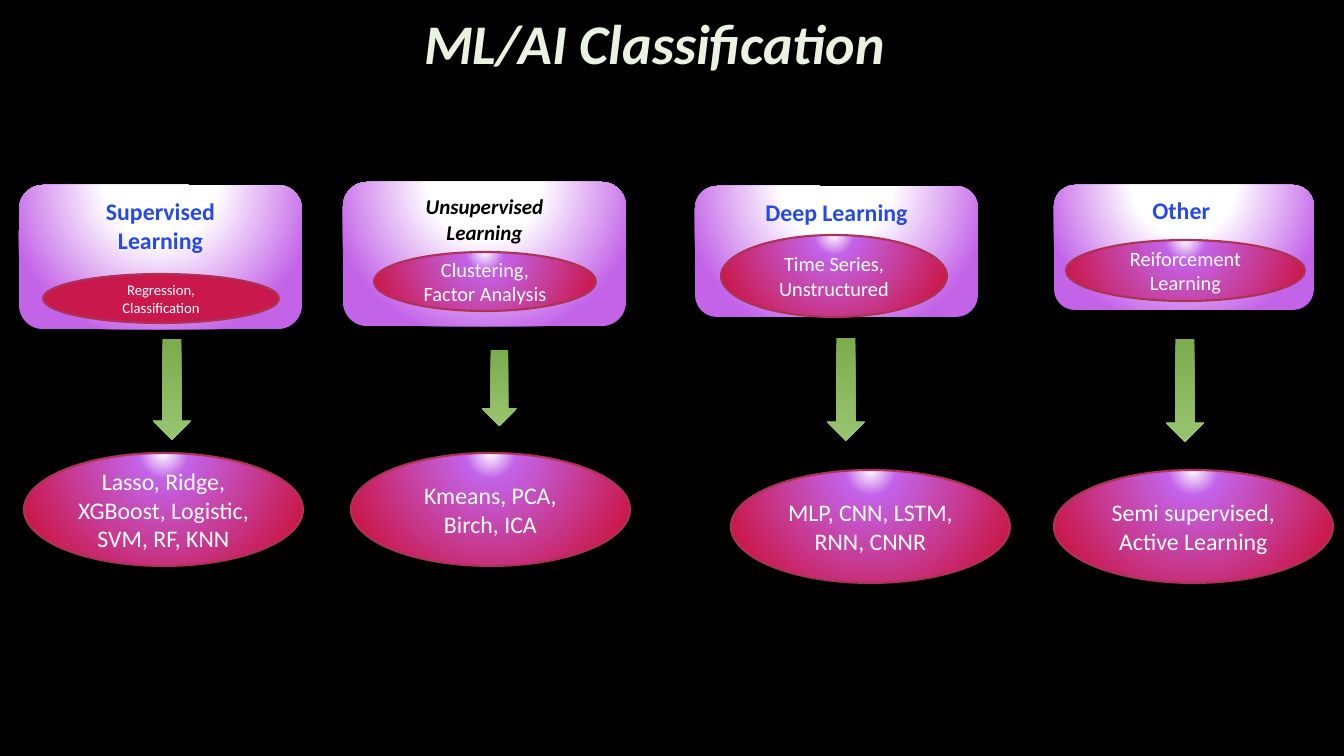
import pptx
import pptx.dml.color
import pptx.enum.shapes
import pptx.enum.text
import pptx.oxml.ns
import pptx.util
from lxml import etree

# Content: boxes are (left, top, width, height) in px
TITLE = ("ML/AI Classification", (231, 4, 847, 78))
BLUE, BLACK, WHITE = "264AEA", "000000", "FFFFFF"
CRIMSON, RIM = "C9194C", "AC3356"
CARD_GRADIENT = [(0, WHITE), (35, WHITE), (100, "C363E8")]
OVAL_GRADIENT = [(0, WHITE), (17, "C363E8"), (100, CRIMSON)]
ARROW_GRADIENT = [(0, "7CAC4E"), (100, "98C46F")]
METHOD_SIZE = (279, 113)

BRANCHES = [
    {"name": "Supervised\nLearning", "card": (19, 185, 283, 144),
     "name_font": {"size": 17, "color": BLUE},
     "tasks": "Regression, Classification", "tasks_box": (43, 274, 236, 49),
     "tasks_size": 10.5, "tasks_gradient": None,
     "arrow": (153, 339, 38, 101),
     "methods": "Lasso, Ridge, XGBoost, Logistic, SVM, RF, KNN", "methods_at": (24, 453)},
    {"name": "Unsupervised\nLearning", "card": (343, 182, 283, 144),
     "name_font": {"size": 15, "color": BLACK, "italic": True},
     "tasks": "Clustering, Factor Analysis", "tasks_box": (374, 252, 222, 59),
     "tasks_size": 14.5, "tasks_gradient": OVAL_GRADIENT,
     "arrow": (482, 350, 35, 76),
     "methods": "Kmeans, PCA, Birch, ICA", "methods_at": (351, 453)},
    {"name": "Deep Learning", "card": (695, 186, 283, 131),
     "name_font": {"size": 17, "color": BLUE},
     "tasks": "Time Series, Unstructured", "tasks_box": (721, 235, 226, 82),
     "tasks_size": 14.5, "tasks_gradient": OVAL_GRADIENT,
     "arrow": (827, 338, 38, 103),
     "methods": "MLP, CNN, LSTM, RNN, CNNR", "methods_at": (731, 470)},
    {"name": "Other ", "card": (1054, 185, 260, 125),
     "name_font": {"size": 17, "color": BLUE},
     "tasks": "Reiforcement\nLearning", "tasks_box": (1066, 240, 239, 61),
     "tasks_size": 14.5, "tasks_gradient": OVAL_GRADIENT,
     "arrow": (1166, 339, 38, 103),
     "methods": "Semi supervised, Active Learning", "methods_at": (1054, 470)},
]

PX = 914400 / 100.8
SHAPE = pptx.enum.shapes.MSO_SHAPE
ANCHOR = pptx.enum.text.MSO_ANCHOR
qn = pptx.oxml.ns.qn


def emu(box):
    return [round(v * PX) for v in box]


def rgb(color):
    return pptx.dml.color.RGBColor.from_string(color)


def set_gradient(s, stops, radial):
    s.fill.gradient()
    grad = s._element.spPr.find(qn("a:gradFill"))
    for child in list(grad):
        grad.remove(child)
    gs_list = etree.SubElement(grad, qn("a:gsLst"))
    for pos, color in stops:
        gs = etree.SubElement(gs_list, qn("a:gs"), pos=str(pos * 1000))
        etree.SubElement(gs, qn("a:srgbClr"), val=color)
    if radial:
        circle = etree.SubElement(grad, qn("a:path"), path="circle")
        etree.SubElement(circle, qn("a:fillToRect"),
                         l="50000", t="-80000", r="50000", b="180000")
    else:
        etree.SubElement(grad, qn("a:lin"), ang="5400000", scaled="0")


def add_shape(kind, box, stops, radial=True):
    s = slide.shapes.add_shape(kind, *emu(box))
    s.shadow.inherit = False
    s.line.fill.background()
    if stops:
        set_gradient(s, stops, radial)
    return s


def write(s, text, size, color, bold=False, italic=False, anchor=ANCHOR.MIDDLE):
    tf = s.text_frame
    tf.word_wrap = True
    tf.vertical_anchor = anchor
    p = tf.paragraphs[0]
    p.alignment = pptx.enum.text.PP_ALIGN.CENTER
    for i, line in enumerate(text.split("\n")):
        if i:
            p.add_line_break()
        r = p.add_run()
        r.text = line
        r.font.name = "Calibri"
        r.font.size = pptx.util.Pt(size)
        r.font.bold = bold
        r.font.italic = italic
        r.font.color.rgb = rgb(color)


def add_oval(box, text, size, stops):
    s = add_shape(SHAPE.OVAL, box, stops)
    if not stops:
        s.fill.solid()
        s.fill.fore_color.rgb = rgb(CRIMSON)
    s.line.color.rgb = rgb(RIM)
    s.line.width = pptx.util.Pt(1.5)
    write(s, text, size, WHITE)


# Slide
prs = pptx.Presentation()
prs.slide_width, prs.slide_height = emu((1344, 756))
slide = prs.slides.add_slide(prs.slide_layouts[6])
slide.background.fill.solid()
slide.background.fill.fore_color.rgb = rgb(BLACK)

# Title
text, box = TITLE
write(slide.shapes.add_textbox(*emu(box)), text, 40, "EAF3E1",
      bold=True, italic=True, anchor=ANCHOR.TOP)

# Branches: card with its tasks, arrow, methods
for branch in BRANCHES:
    card = add_shape(SHAPE.ROUNDED_RECTANGLE, branch["card"], CARD_GRADIENT)
    write(card, branch["name"], bold=True, anchor=ANCHOR.TOP, **branch["name_font"])
    add_oval(branch["tasks_box"], branch["tasks"], branch["tasks_size"],
             branch["tasks_gradient"])
    add_shape(SHAPE.DOWN_ARROW, branch["arrow"], ARROW_GRADIENT, radial=False)
    add_oval(branch["methods_at"] + METHOD_SIZE, branch["methods"], 17, OVAL_GRADIENT)

prs.save("out.pptx")
